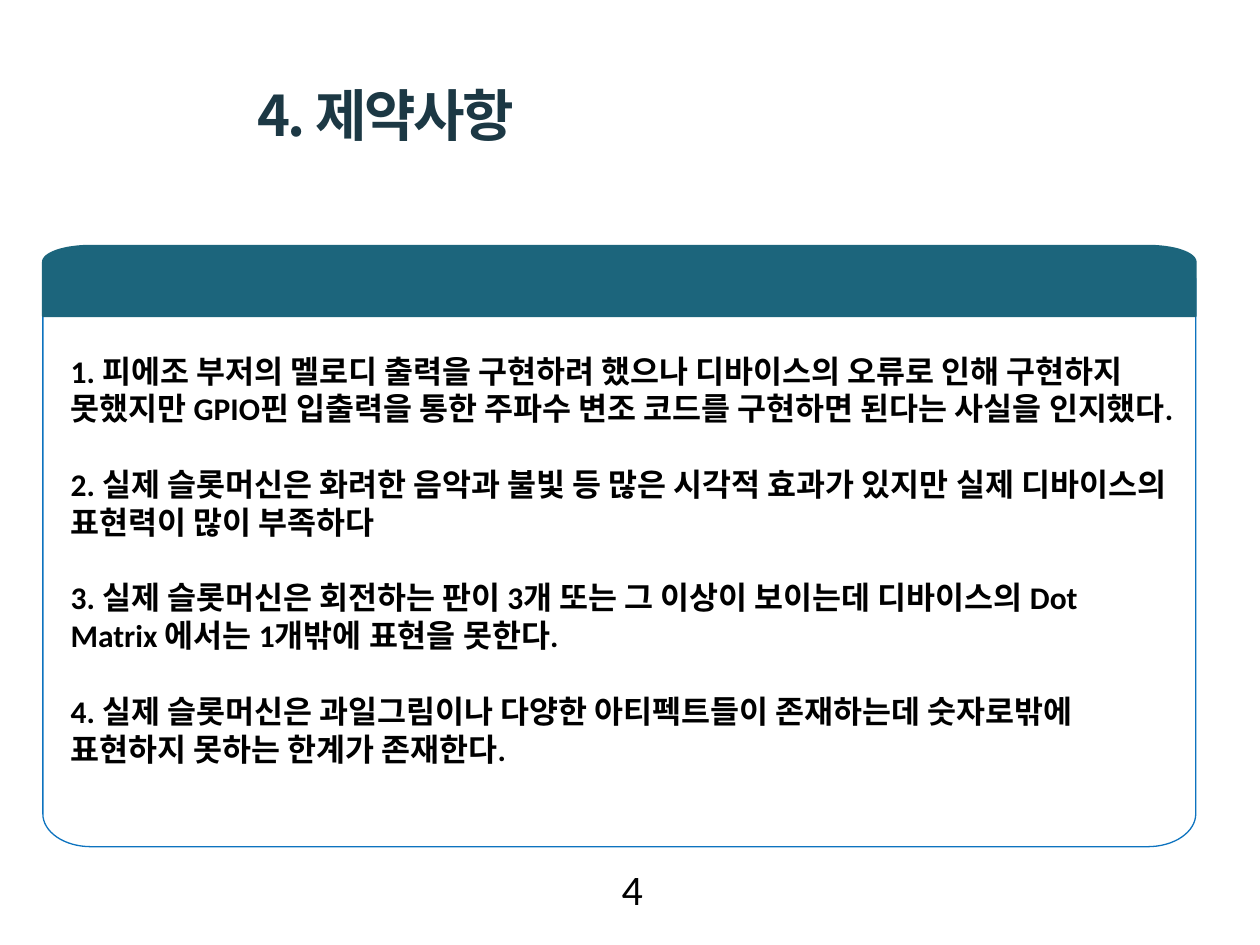
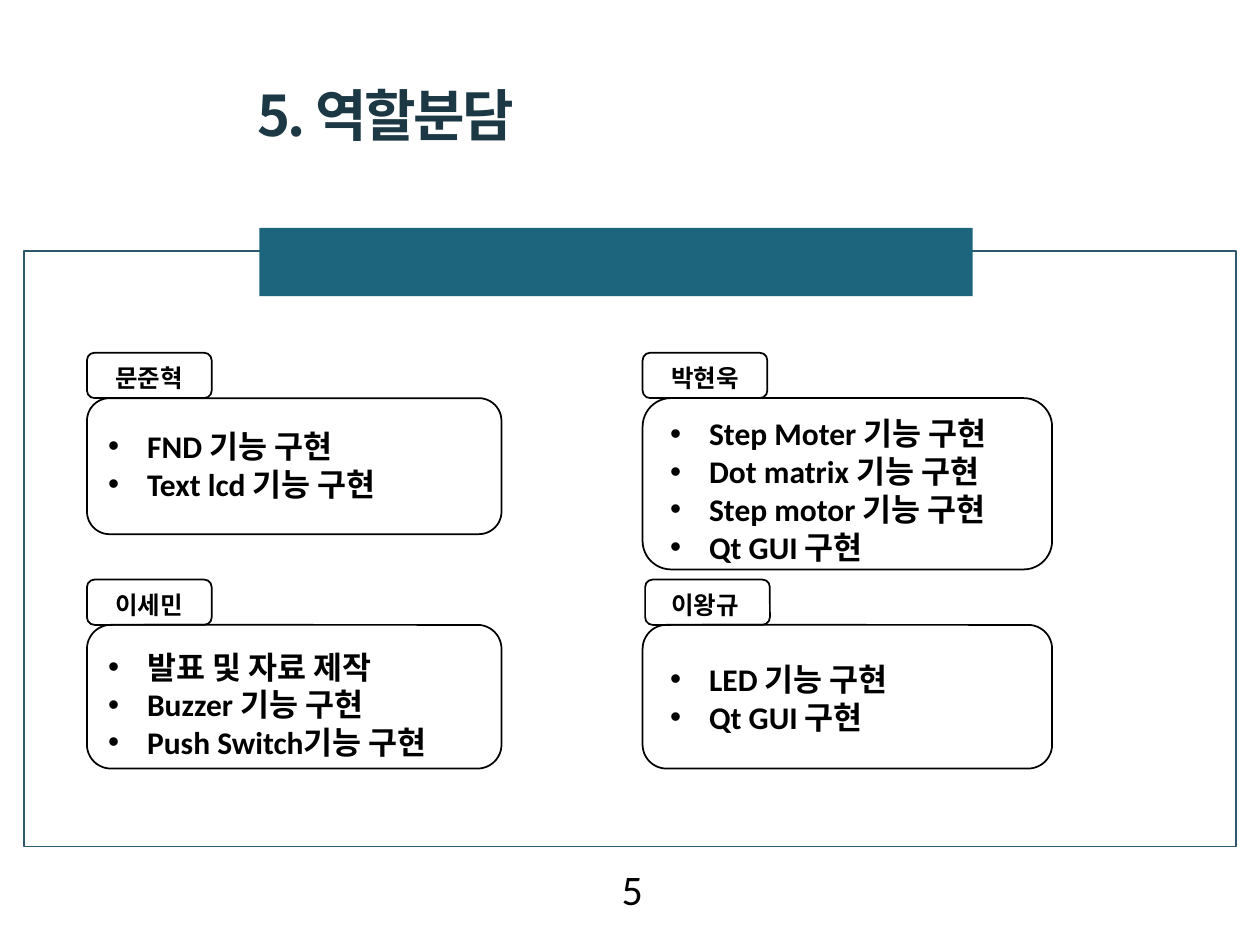
from math import cos, pi, sin

from lxml.etree import SubElement
from pptx import Presentation
from pptx.dml.color import RGBColor
from pptx.enum.shapes import MSO_SHAPE
from pptx.enum.text import MSO_ANCHOR, MSO_AUTO_SIZE, PP_ALIGN
from pptx.oxml.ns import qn
from pptx.util import Inches, Pt

# Content
LIMITS_TITLE = "4. 제약사항"
LIMITS = [
    "1. 피에조 부저의 멜로디 출력을 구현하려 했으나 디바이스의 오류로 인해 구현하지 못했지만 "
    "GPIO핀 입출력을 통한 주파수 변조 코드를 구현하면 된다는 사실을 인지했다.",
    "2. 실제 슬롯머신은 화려한 음악과 불빛 등 많은 시각적 효과가 있지만 실제 디바이스의 표현력이 많이 부족하다",
    "3. 실제 슬롯머신은 회전하는 판이 3개 또는 그 이상이 보이는데 디바이스의 Dot Matrix 에서는 "
    "1개밖에 표현을 못한다.",
    "4. 실제 슬롯머신은 과일그림이나 다양한 아티펙트들이 존재하는데 숫자로밖에 표현하지 못하는 한계가 존재한다.",
]
ROLES_TITLE = "5. 역할분담"
# name, column, row, card height, gap from card top to its list, tasks
ROLES = [
    ("문준혁", 0, 0, 1.08, 0.18, ["FND 기능 구현", "Text lcd 기능 구현"]),
    ("박현욱", 1, 0, 1.36, 0.08, ["Step Moter 기능 구현", "Dot matrix 기능 구현",
                               "Step motor 기능 구현", "Qt GUI 구현"]),
    ("이세민", 0, 1, 1.14, 0.13, ["발표 및 자료 제작", "Buzzer 기능 구현", "Push Switch기능 구현"]),
    ("이왕규", 1, 1, 1.14, 0.23, ["LED 기능 구현", "Qt GUI 구현"]),
]

# Shared style
WHITE = RGBColor(0xFF, 0xFF, 0xFF)
BLACK = RGBColor(0x00, 0x00, 0x00)
NAVY = RGBColor(0x1C, 0x38, 0x44)
TEAL = RGBColor(0x1C, 0x65, 0x7C)
SLATE = RGBColor(0x2D, 0x58, 0x6B)
BLUE = RGBColor(0x0D, 0x73, 0xBF)
LATIN, KOREAN, NAME_FONT = "Calibri", "Noto Sans CJK KR", "Noto Sans CJK JP"

# Grid of the roles slide, in inches
COLUMN_LEFT, COLUMN_WIDTH = (0.69, 5.1), (3.29, 3.25)
LIST_INDENT = (0.07, 0.12)
ROW_TOP, ROW_STEP = 2.8, 1.8
TAG_WIDTH, TAG_HEIGHT = 0.99, 0.36
LINE_HEIGHT = 0.3
BULLET_INDENT = Inches(0.31)


def add_span(para, text, size, color=BLACK, latin=LATIN, asian=KOREAN, bold=True):
    span = para.add_run()
    span.text = text
    span.font.size, span.font.bold, span.font.name = Pt(size), bold, latin
    span.font.color.rgb = color
    SubElement(span.font._element, qn("a:ea")).set("typeface", asian)
    return span


def paint(shape, fill=None, line=None, width=1):
    shape.shadow.inherit = False
    if fill is None:
        shape.fill.background()
    else:
        shape.fill.solid()
        shape.fill.fore_color.rgb = fill
    if line is None:
        shape.line.fill.background()
    else:
        shape.line.color.rgb = line
        shape.line.width = Pt(width)
    return shape


def add_panel(page, kind, left, top, width, height, **style):
    box = page.shapes.add_shape(kind, *map(Inches, (left, top, width, height)))
    return paint(box, **style)


def add_text_frame(page, left, top, width, height):
    frame = page.shapes.add_textbox(*map(Inches, (left, top, width, height))).text_frame
    frame.word_wrap = True
    return frame


def quarter(center_x, center_y, radius_x, radius_y, start, steps=16):
    """Points of a quarter ellipse, clockwise from the start angle."""
    angles = [start + pi / 2 * step / steps for step in range(steps + 1)]
    return [(center_x + radius_x * cos(a), center_y + radius_y * sin(a)) for a in angles]


def add_outline(page, points, **style):
    points = [(Inches(x), Inches(y)) for x, y in points]
    builder = page.shapes.build_freeform(*points[0])
    builder.add_line_segments(points[1:], close=True)
    return paint(builder.convert_to_shape(), **style)


def add_page(deck, title, number):
    page = deck.slides.add_slide(deck.slide_layouts[5])
    # Title
    box = page.shapes.title
    box.left, box.top, box.width, box.height = map(Inches, (1.94, 0.59, 6.52, 0.7))
    frame = box.text_frame
    frame.auto_size, frame.vertical_anchor = MSO_AUTO_SIZE.NONE, MSO_ANCHOR.MIDDLE
    para = frame.paragraphs[0]
    para.alignment, para.line_spacing = PP_ALIGN.LEFT, 0.9
    span = add_span(para, title, 32, NAVY, latin=KOREAN)
    span.font._element.set("spc", "-150")
    # Page number
    frame = add_text_frame(page, 2.95, 6.85, 2.25, 0.4)
    frame.vertical_anchor = MSO_ANCHOR.MIDDLE
    para = frame.paragraphs[0]
    para.alignment = PP_ALIGN.RIGHT
    add_span(para, str(number), 24, bold=False)
    return page


def add_limits(deck):
    page = add_page(deck, LIMITS_TITLE, 4)
    left, right, radius = 0.34, 9.49, 0.38

    # Panel with rounded lower corners
    top, bottom, depth = 2.21, 6.72, 0.26
    panel = add_outline(
        page,
        [(left, top), (right, top)]
        + quarter(right - radius, bottom - depth, radius, depth, 0)
        + quarter(left + radius, bottom - depth, radius, depth, pi / 2),
        fill=WHITE, line=BLUE, width=0.75)
    frame = panel.text_frame
    frame.word_wrap, frame.vertical_anchor = True, MSO_ANCHOR.MIDDLE
    frame.margin_left = frame.margin_right = Inches(0.22)
    frame.margin_top, frame.margin_bottom = 0, Inches(0.05)
    for index, limit in enumerate(LIMITS):
        para = frame.add_paragraph() if index else frame.paragraphs[0]
        para.alignment = PP_ALIGN.LEFT
        if index:
            para.space_before = Inches(LINE_HEIGHT)
        add_span(para, limit, 18)

    # Band with rounded upper corners
    top, bottom, depth = 1.95, 2.51, 0.13
    add_outline(
        page,
        [(right, bottom), (left, bottom)]
        + quarter(left + radius, top + depth, radius, depth, pi)
        + quarter(right - radius, top + depth, radius, depth, pi * 1.5),
        fill=TEAL, line=TEAL)


def add_task(para, task):
    properties = para._p.get_or_add_pPr()
    properties.set("marL", str(BULLET_INDENT))
    properties.set("indent", str(-BULLET_INDENT))
    SubElement(properties, qn("a:buFont")).set("typeface", "Arial")
    SubElement(properties, qn("a:buChar")).set("char", "•")
    add_span(para, task, 18)


def add_role(page, name, column, row, height, gap, tasks):
    left, top = COLUMN_LEFT[column], ROW_TOP + row * ROW_STEP
    card_top = top + TAG_HEIGHT
    # Name tag
    add_panel(page, MSO_SHAPE.ROUNDED_RECTANGLE, left + 0.02 * (column * row), top,
              TAG_WIDTH, TAG_HEIGHT, line=BLACK)
    para = add_text_frame(page, left, top + 0.03, TAG_WIDTH, 0.34).paragraphs[0]
    para.alignment = PP_ALIGN.CENTER
    add_span(para, name, 14, latin=NAME_FONT, asian=NAME_FONT)
    # Card and task list
    add_panel(page, MSO_SHAPE.ROUNDED_RECTANGLE, left, card_top,
              COLUMN_WIDTH[column], height, line=BLACK)
    frame = add_text_frame(page, left + LIST_INDENT[column], card_top + gap,
                           3, len(tasks) * LINE_HEIGHT + 0.1)
    for index, task in enumerate(tasks):
        add_task(frame.add_paragraph() if index else frame.paragraphs[0], task)


def add_roles(deck):
    page = add_page(deck, ROLES_TITLE, 5)
    # Frame and heading band
    add_panel(page, MSO_SHAPE.RECTANGLE, 0.19, 1.99, 9.62, 4.73, fill=WHITE, line=SLATE)
    add_panel(page, MSO_SHAPE.RECTANGLE, 2.06, 1.81, 5.66, 0.54, fill=TEAL)
    for role in ROLES:
        add_role(page, *role)


def main():
    deck = Presentation()
    deck.slide_width, deck.slide_height = Inches(10), Inches(7.5)
    add_limits(deck)
    add_roles(deck)
    deck.save("out.pptx")


if __name__ == "__main__":
    main()
